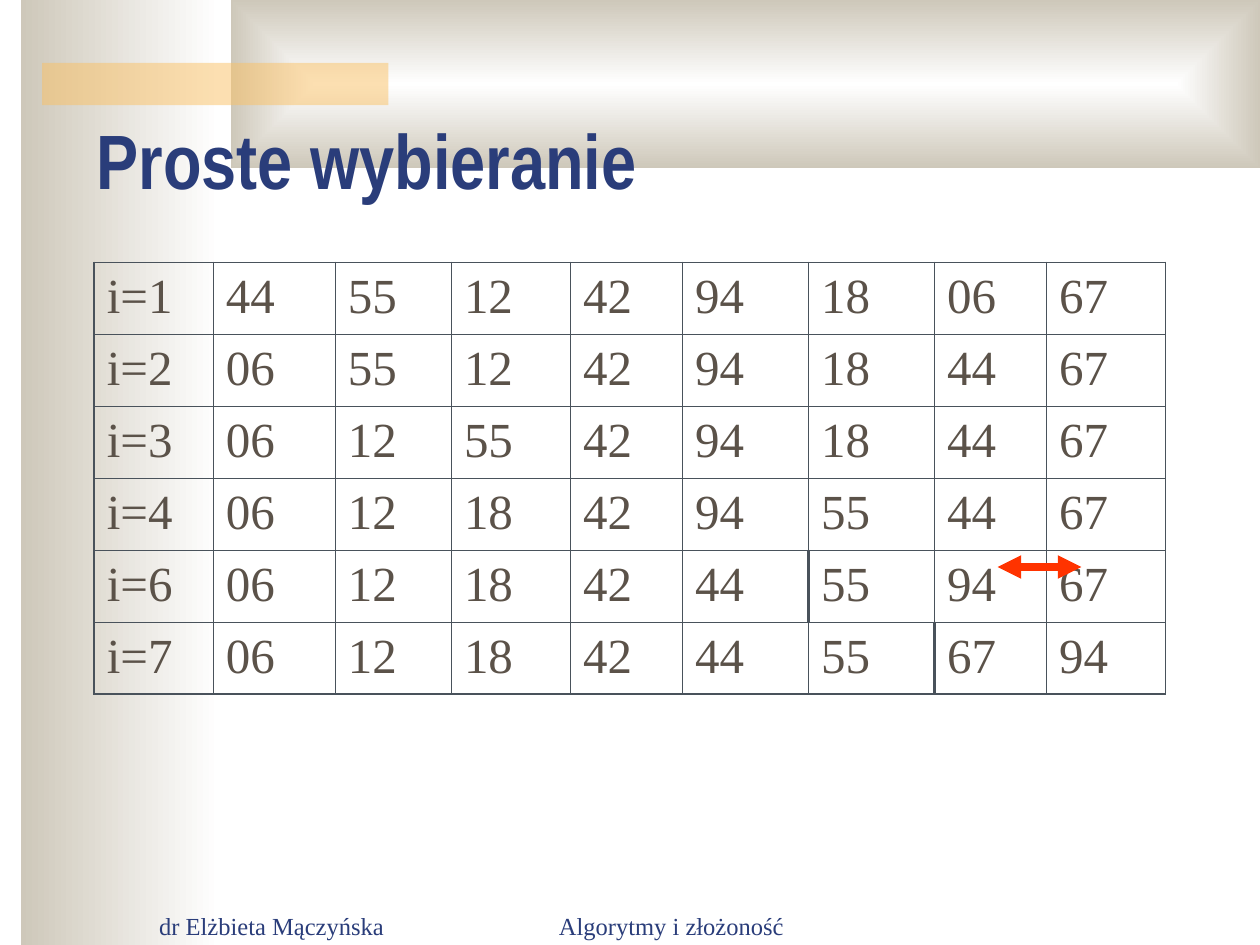
from lxml import etree
from pptx import Presentation
from pptx import util as u
from pptx.dml.color import RGBColor
from pptx.enum import shapes, text
from pptx.oxml.ns import qn

HUES = {
    "white": "FFFFFF", "sand": "CEC8BA", "gold": "FAC164", "navy": "2A3D7A",
    "brown": "5B5249", "grid": "49525B", "red": "FF3300",
}
SERIF = "Times New Roman"
WIDTHS = (2.4, 2.46, 2.34, 2.4, 2.26, 2.54, 2.54, 2.26, 2.4)
STEPS = (
    "i=1 44 55 12 42 94 18 06 67",
    "i=2 06 55 12 42 94 18 44 67",
    "i=3 06 12 55 42 94 18 44 67",
    "i=4 06 12 18 42 94 55 44 67",
    "i=6 06 12 18 42 44 55 94 67",
    "i=7 06 12 18 42 44 55 67 94",
)
THIN, EDGE, MARK = 0.45, 1.08, 1.47
# Left sides of the cells (row, column) where a thicker line is drawn
MARKS = {(4, 6), (5, 7)}


def rgb(name):
    return RGBColor.from_string(HUES[name])


def put(item, values):
    for key, value in values.items():
        setattr(item, key, value)


def write(frame, words, size, font, hue, bold=False, align=text.PP_ALIGN.LEFT):
    frame.text = words
    para = frame.paragraphs[0]
    para.alignment = align
    put(para.font, {"size": u.Pt(size), "name": font, "bold": bold})
    para.font.color.rgb = rgb(hue)
    return para


def block(slide, box):
    shape = slide.shapes.add_shape(shapes.MSO_SHAPE.RECTANGLE, *map(u.Cm, box))
    shape.shadow.inherit = False
    shape.line.fill.background()
    return shape


def fade(slide, box, framed=False):
    """Rectangle that fades from white to sand, leftwards or out from the centre."""
    shape = block(slide, box)
    shape.fill.gradient()
    shape.fill.gradient_angle = 180
    for stop, hue in zip(shape.fill.gradient_stops, ("white", "sand")):
        stop.color.rgb = rgb(hue)
    if framed:
        grad = shape._element.spPr.find(qn("a:gradFill"))
        grad.remove(grad.find(qn("a:lin")))
        route = etree.SubElement(grad, qn("a:path"), {"path": "rect"})
        sides = dict.fromkeys("ltrb", "50000")
        etree.SubElement(route, qn("a:fillToRect"), sides)


def strip(slide, box):
    """Half-transparent gold bar."""
    shape = block(slide, box)
    shape.fill.solid()
    shape.fill.fore_color.rgb = rgb("gold")
    tint = shape._element.spPr.find(qn("a:solidFill"))[0]
    etree.SubElement(tint, qn("a:alpha"), {"val": "50000"})


def note(slide, box, words, align):
    frame = slide.shapes.add_textbox(*map(u.Cm, box)).text_frame
    put(frame, {"word_wrap": True, "vertical_anchor": text.MSO_ANCHOR.BOTTOM})
    write(frame, words, 14, SERIF, "navy", align=align)


def rule(cell, side, width):
    line = etree.SubElement(cell._tc.get_or_add_tcPr(), qn("a:ln" + side),
                            {"w": str(u.Pt(width))})
    fill = etree.SubElement(line, qn("a:solidFill"))
    etree.SubElement(fill, qn("a:srgbClr"), {"val": HUES["grid"]})


def side_width(spot, outer):
    return MARK if spot in MARKS else EDGE if outer else THIN


def grid(slide, left, top, height):
    rows, cols = len(STEPS), len(WIDTHS)
    table = slide.shapes.add_table(rows, cols, u.Cm(left), u.Cm(top),
                                   u.Cm(sum(WIDTHS)), u.Cm(height * rows)).table
    put(table, {"first_row": False, "horz_banding": False})
    for col, width in zip(table.columns, WIDTHS):
        col.width = u.Cm(width)
    for r, step in enumerate(STEPS):
        table.rows[r].height = u.Cm(height)
        for c, words in enumerate(step.split()):
            cell = table.cell(r, c)
            para = write(cell.text_frame, words, 28, SERIF, "brown")
            para.line_spacing = 0.95
            rule(cell, "L", side_width((r, c), c == 0))
            rule(cell, "R", side_width((r, c + 1), c == cols - 1))
            rule(cell, "T", EDGE if r == 0 else THIN)
            rule(cell, "B", EDGE if r == rows - 1 else THIN)
            cell.fill.background()
            cell.vertical_anchor = text.MSO_ANCHOR.MIDDLE


def swap(slide, start, end, y):
    """Double-headed arrow between two exchanged values."""
    arrow = slide.shapes.add_connector(shapes.MSO_CONNECTOR.STRAIGHT, u.Cm(start),
                                       u.Cm(y), u.Cm(end), u.Cm(y))
    arrow.line.width = u.Pt(4.5)
    arrow.line.color.rgb = rgb("red")
    props = arrow._element.spPr
    for tip in ("headEnd", "tailEnd"):
        etree.SubElement(props.find(qn("a:ln")), qn("a:" + tip), {"type": "triangle"})
    etree.SubElement(props, qn("a:effectLst"))


def head(slide, box, words):
    title = slide.shapes.title
    put(title, dict(zip(("left", "top", "width", "height"), map(u.Cm, box))))
    put(title.text_frame, {"word_wrap": True, "auto_size": text.MSO_AUTO_SIZE.NONE,
                           "vertical_anchor": text.MSO_ANCHOR.BOTTOM})
    write(title.text_frame, words, 44, "Arial Narrow", "navy", bold=True)
    # Bring the title in front of the bands
    slide.shapes._spTree.append(title._element)


def main():
    deck = Presentation()
    put(deck, {"slide_width": u.Cm(25.4), "slide_height": u.Cm(19.05)})
    slide = deck.slides.add_slide(deck.slide_layouts[5])

    # Background bands
    fade(slide, (0.42, 0, 4.02, 19.05))
    fade(slide, (4.66, 0, 20.74, 3.39), framed=True)
    strip(slide, (0.85, 1.27, 6.98, 0.85))

    # Footer
    note(slide, (2.96, 17.81, 5.29, 1.27), "dr Elżbieta Mączyńska", text.PP_ALIGN.LEFT)
    note(slide, (9.52, 17.81, 8.03, 1.27), "Algorytmy i złożoność", text.PP_ALIGN.CENTER)

    # Sorting steps
    grid(slide, 1.9, 5.29, 1.45)
    swap(slide, 20.11, 21.8, 11.43)

    head(slide, (1.69, 2.12, 21.59, 2.13), "Proste wybieranie")
    deck.save("out.pptx")


if __name__ == "__main__":
    main()
